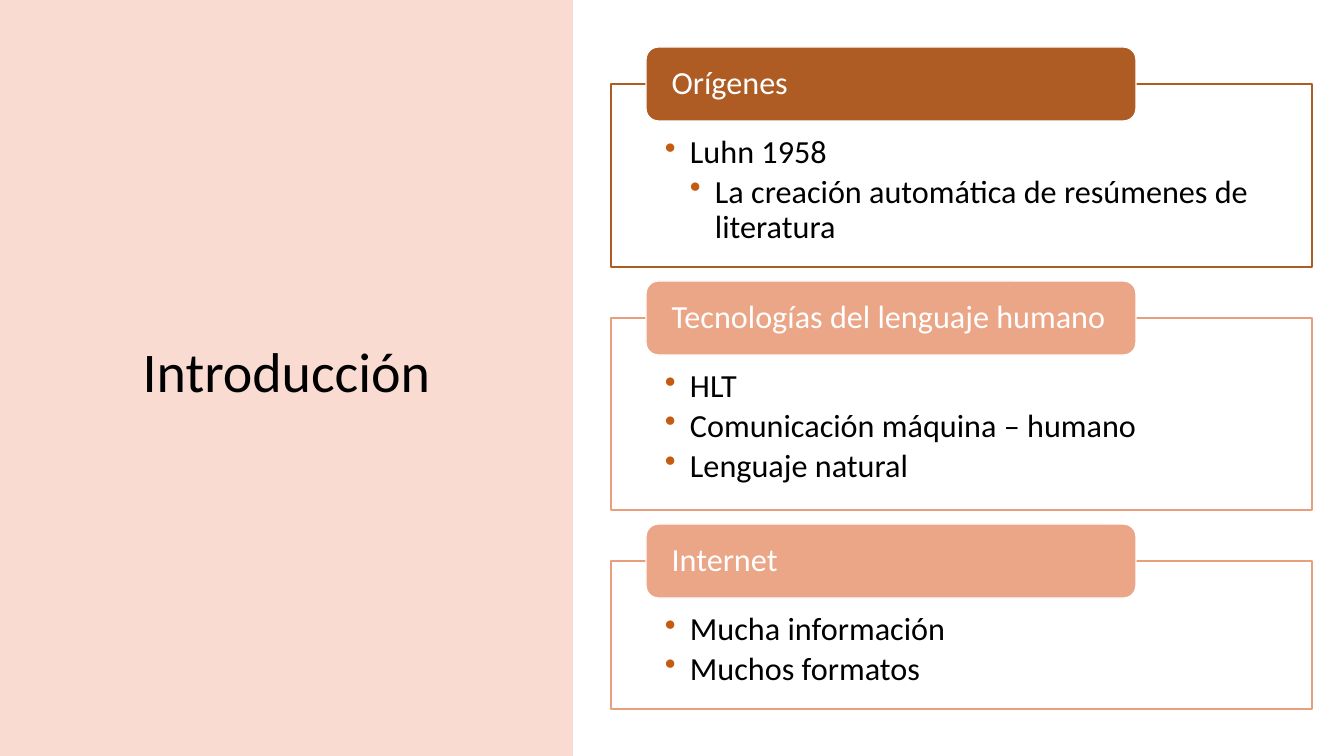
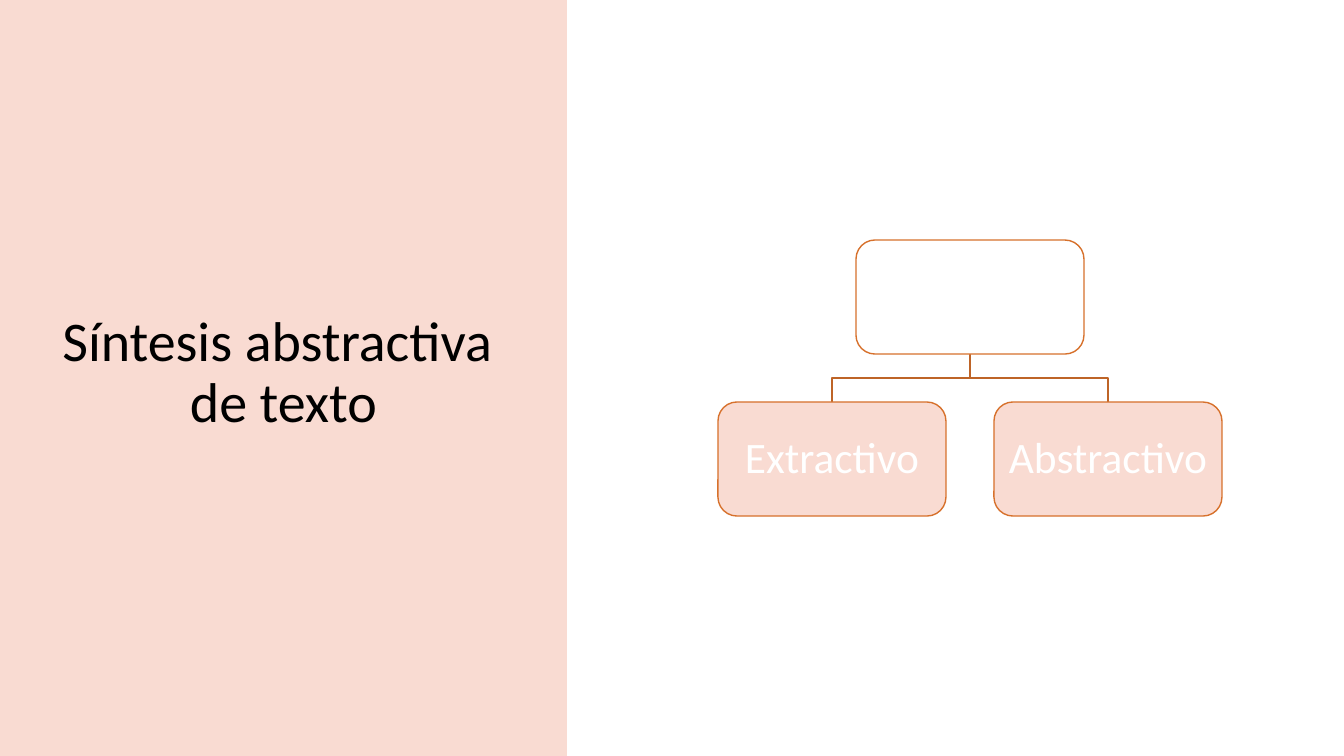
import pptx
import pptx.dml.color
import pptx.enum.shapes
import pptx.enum.text
import pptx.oxml.ns
import pptx.util
from lxml import etree

EMU_PER_PX = 914400 / 100.8
RECTANGLE = pptx.enum.shapes.MSO_SHAPE.RECTANGLE
ROUNDED = pptx.enum.shapes.MSO_SHAPE.ROUNDED_RECTANGLE
ALIGN = pptx.enum.text.PP_ALIGN
ANCHOR = pptx.enum.text.MSO_ANCHOR


def px(length):
    return pptx.util.Emu(round(length * EMU_PER_PX))


def color(value):
    return pptx.dml.color.RGBColor.from_string(value)


class Deck:
    FONT = "Calibri"
    BLACK = "000000"
    WHITE = "FFFFFF"
    BLUSH = "F9DBD2"
    BROWN = "AF5C24"
    SALMON = "EBA587"
    SALMON_LINE = "E99E7D"
    BULLET = "C55A11"
    NODE_LINE = "D7712C"
    LINK = "BE6427"
    TITLE_SIZE = 40
    BODY_SIZE = 23
    NODE_SIZE = 31

    def __init__(self):
        self.presentation = pptx.Presentation()
        self.presentation.slide_width = px(1344)
        self.presentation.slide_height = px(756)
        self.slide = None

    def add_slide(self, title, band_width):
        self.slide = self.presentation.slides.add_slide(self.presentation.slide_layouts[5])
        shape = self.slide.shapes.title
        shape.left, shape.top, shape.width, shape.height = px(0), px(-16), px(band_width), px(780)
        shape.fill.solid()
        shape.fill.fore_color.rgb = color(self.BLUSH)
        self.set_text(shape, title, self.TITLE_SIZE, self.BLACK, ALIGN.CENTER)

    def set_text(self, shape, text, size, text_color, align=ALIGN.LEFT,
                 anchor=ANCHOR.MIDDLE, insets=(10, 5, 10, 5)):
        frame = shape.text_frame
        frame.text = text
        frame.word_wrap = True
        frame.auto_size = pptx.enum.text.MSO_AUTO_SIZE.NONE
        frame.vertical_anchor = anchor
        frame.margin_left, frame.margin_top, frame.margin_right, frame.margin_bottom = map(px, insets)
        for paragraph in frame.paragraphs:
            paragraph.alignment = align
            paragraph.line_spacing = 0.9
            for run in paragraph.runs:
                run.font.name = self.FONT
                run.font.size = pptx.util.Pt(size)
                run.font.color.rgb = color(text_color)

    def box(self, kind, left, top, width, height, fill, line):
        shape = self.slide.shapes.add_shape(kind, px(left), px(top), px(width), px(height))
        shape.shadow.inherit = False
        shape.fill.solid()
        shape.fill.fore_color.rgb = color(fill)
        shape.line.color.rgb = color(line)
        shape.line.width = pptx.util.Pt(1)
        return shape

    def bullet(self, paragraph, level):
        properties = paragraph._p.get_or_add_pPr()
        properties.set("marL", str(px(25 * (level + 1))))
        properties.set("indent", str(px(-25)))
        tag = pptx.oxml.ns.qn
        bullet_color = etree.SubElement(properties, tag("a:buClr"))
        etree.SubElement(bullet_color, tag("a:srgbClr")).set("val", self.BULLET)
        etree.SubElement(properties, tag("a:buChar")).set("char", "•")
        paragraph.level = level
        paragraph.space_after = pptx.util.Pt(3.5)

    def panel(self, top, height, heading, items, tab_fill, line):
        panel = self.box(RECTANGLE, 611, top, 701, height, self.WHITE, line)
        self.set_text(panel, "\n".join(text for text, level in items), self.BODY_SIZE, self.BLACK,
                      anchor=ANCHOR.TOP, insets=(54, 52, 54, 18))
        for paragraph, (text, level) in zip(panel.text_frame.paragraphs, items):
            self.bullet(paragraph, level)
        tab = self.box(ROUNDED, 646, top - 37, 490, 74, tab_fill, self.WHITE)
        self.set_text(tab, heading, self.BODY_SIZE, self.WHITE, insets=(22, 0, 22, 0))

    def node(self, left, top, width, height, fill, label=None):
        node = self.box(ROUNDED, left, top, width, height, fill, self.NODE_LINE)
        if label:
            self.set_text(node, label, self.NODE_SIZE, self.WHITE, ALIGN.CENTER, insets=(4, 4, 4, 4))

    def branch(self, start_x, start_y, end_x, end_y):
        middle_y = (start_y + end_y) / 2
        builder = self.slide.shapes.build_freeform(start_x, start_y, scale=EMU_PER_PX)
        builder.add_line_segments(
            [(start_x, middle_y), (end_x, middle_y), (end_x, end_y)], close=False)
        shape = builder.convert_to_shape()
        shape.shadow.inherit = False
        shape.fill.background()
        shape.line.color.rgb = color(self.LINK)
        shape.line.width = pptx.util.Pt(1)


def add_introduction(deck):
    deck.add_slide("Introducción", 573)
    panels = [
        (183, "Orígenes",
         [("Luhn 1958", 0), ("La creación automática de resúmenes de literatura", 1)],
         deck.BROWN, deck.BROWN),
        (192, "Tecnologías del lenguaje humano",
         [("HLT", 0), ("Comunicación máquina – humano", 0), ("Lenguaje natural", 0)],
         deck.SALMON, deck.SALMON_LINE),
        (148, "Internet",
         [("Mucha información", 0), ("Muchos formatos", 0)],
         deck.SALMON, deck.SALMON_LINE),
    ]
    top, gap = 84, 51
    for height, heading, items, tab_fill, line in panels:
        deck.panel(top, height, heading, items, tab_fill, line)
        top += height + gap


def add_synthesis(deck):
    deck.add_slide("Síntesis abstractiva \vde texto", 567)
    width, height, gap = 228, 114, 48
    center, root_top = 970, 240
    child_top = root_top + height + gap
    labels = ["Extractivo", "Abstractivo"]
    first_left = center - (len(labels) * (width + gap) - gap) // 2
    lefts = [first_left + index * (width + gap) for index in range(len(labels))]
    for left in lefts:
        deck.branch(center, root_top + height, left + width // 2, child_top)
    deck.node(center - width // 2, root_top, width, height, deck.WHITE)
    for left, label in zip(lefts, labels):
        deck.node(left, child_top, width, height, deck.BLUSH, label)


def main():
    deck = Deck()
    add_introduction(deck)
    add_synthesis(deck)
    deck.presentation.save("out.pptx")


if __name__ == "__main__":
    main()
